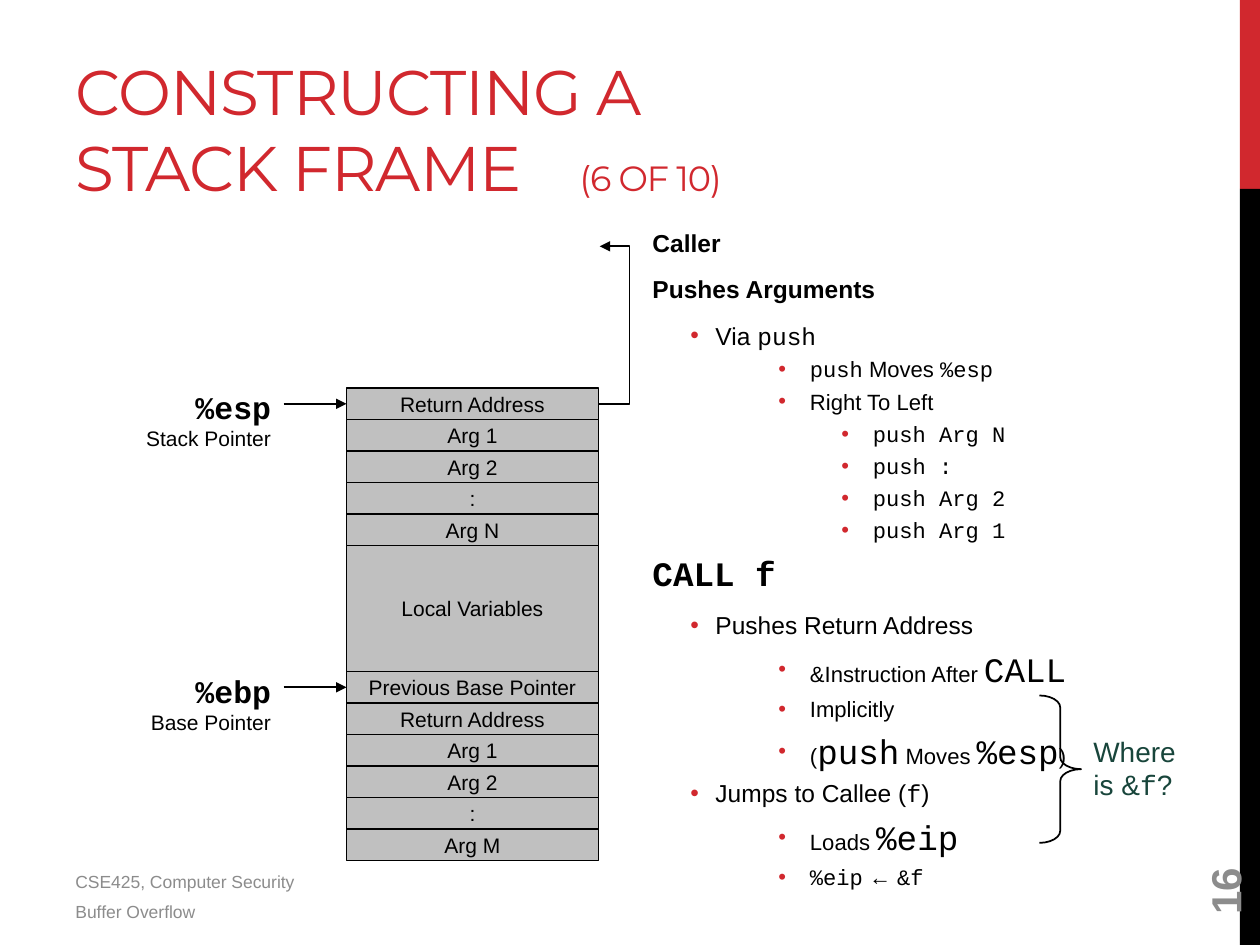
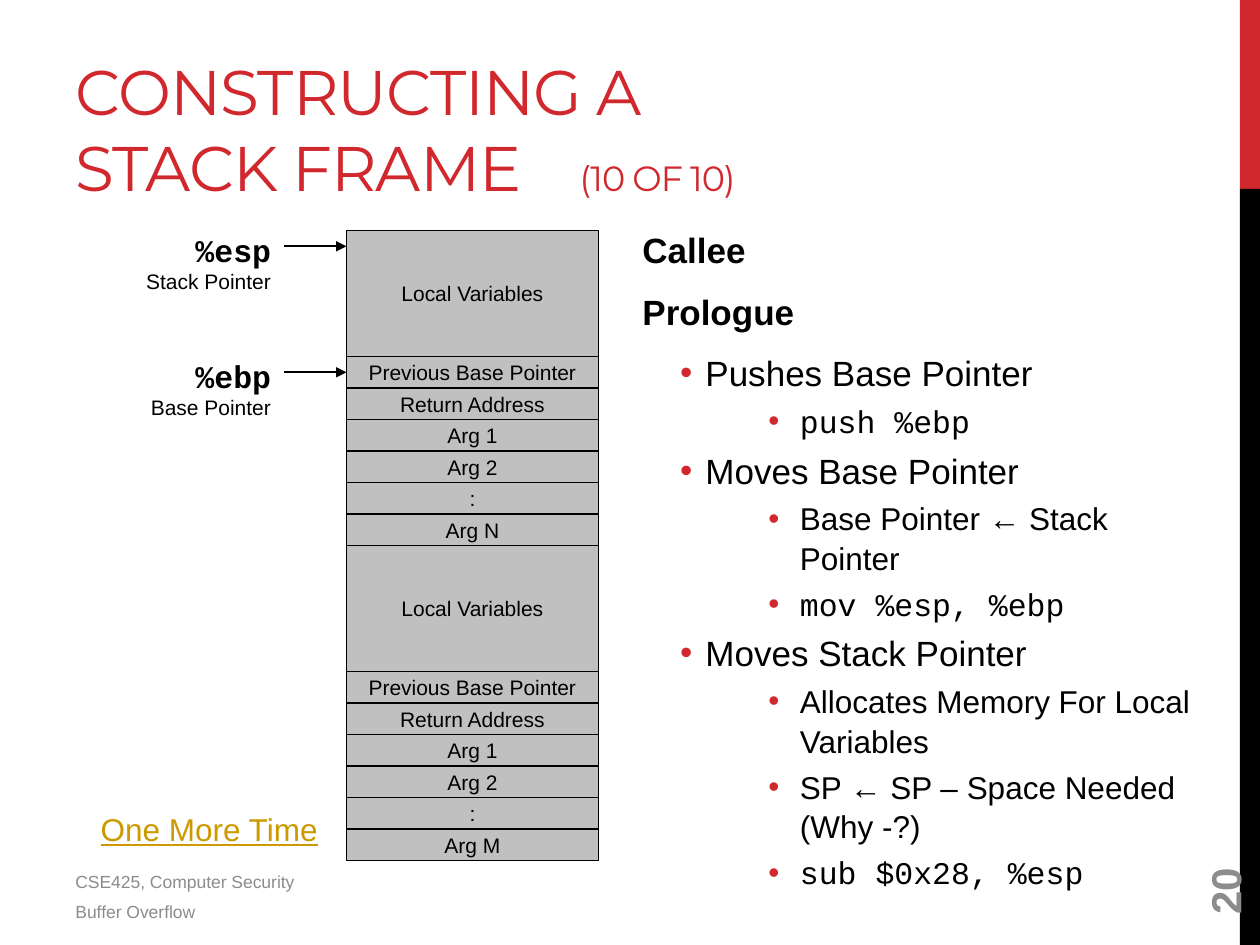
"""Build two slides that show how a stack frame is constructed."""
from dataclasses import dataclass

from lxml.etree import SubElement
from pptx import Presentation
from pptx.dml.color import RGBColor
from pptx.enum.shapes import MSO_CONNECTOR, MSO_SHAPE
from pptx.enum.text import MSO_ANCHOR, MSO_AUTO_SIZE, PP_ALIGN
from pptx.oxml.ns import qn
from pptx.util import Inches, Pt


@dataclass(frozen=True)
class Theme:
    red: str = "D1282E"
    black: str = "000000"
    silver: str = "C0C0C0"
    grey: str = "8C8C8C"
    green: str = "18453B"
    gold: str = "CC9900"
    heading: str = "Montserrat"
    body: str = "Arial"
    code: str = "Courier New"
    title: float = 36
    counter: float = 20
    page: float = 24
    register: float = 18
    question: float = 16
    cell: float = 12
    footer: float = 10


THEME = Theme()
WIDTH, HEIGHT = 10, 7.5
BAND_LEFT, BAND_SPLIT = 9.84, HEIGHT / 5
STACK_LEFT, STACK_WIDTH, STACK_BOTTOM, ROW = 2.75, 2, 6.83, 0.25
LABEL_LEFT, LABEL_WIDTH, ARROW = 0.75, 1.5, 0.5
INDENTS = [(0, 0), (0.5, -0.2), (1.25, -0.25), (1.75, -0.25)]
TALL_CELLS = {"Local Variables": 4}

HEADING = "CONSTRUCTING A STACK FRAME\t"
FOOTERS = [("CSE425, Computer Security", 6.75, 0.33, MSO_ANCHOR.BOTTOM),
           ("Buffer Overflow", 7.1, 0.31, MSO_ANCHOR.TOP)]


def call_cells(last_arg):
    """List what a call pushes, from the top of the stack down."""
    return ["Return Address", "Arg 1", "Arg 2", ":", last_arg]


LOCALS = ["Local Variables", "Previous Base Pointer"]
CALLER_FRAME = LOCALS + call_cells("Arg M")

SLIDES = [
    {
        "counter": "(6 OF 10)",
        "page": "16",
        "cells": call_cells("Arg N") + CALLER_FRAME,
        "pointers": [("%esp", "Stack Pointer", 0), ("%ebp", "Base Pointer", 6)],
        "outline_box": (5.08, 1.75, 4.42, 4.95),
        "level_sizes": [14, 14, 12.6, 12.6],
        "large_code": 19.6,
        "outline": [
            (0, "Caller"),
            (0, "Pushes Arguments"),
            (1, "Via `push`"),
            (2, "`push` Moves `%esp`"),
            (2, "Right To Left"),
            (3, "`push Arg N`"),
            (3, "`push :`"),
            (3, "`push Arg 2`"),
            (3, "`push Arg 1`"),
            (0, "`+CALL f`"),
            (1, "Pushes Return Address"),
            (2, "&Instruction After `+CALL`"),
            (2, "Implicitly"),
            (2, "(`+push` Moves `+%esp`)"),
            (1, "Jumps to Callee (`f`)"),
            (2, "Loads `+%eip`"),
            (2, "`%eip` ← `&f`"),
        ],
        "question": "Where is &`f`?",
        "return_arrow": True,
    },
    {
        "counter": "(10 OF 10)",
        "page": "20",
        "cells": LOCALS + call_cells("Arg N") + CALLER_FRAME,
        "pointers": [("%esp", "Stack Pointer", 0), ("%ebp", "Base Pointer", 1)],
        "outline_box": (5, 1.75, 4.75, 5.34),
        "level_sizes": [20, 20, 18],
        "large_code": 20,
        "outline": [
            (0, "Callee"),
            (0, "Prologue"),
            (1, "Pushes Base Pointer"),
            (2, "`push %ebp`"),
            (1, "Moves Base Pointer"),
            (2, "Base Pointer ← Stack Pointer"),
            (2, "`mov %esp, %ebp`"),
            (1, "Moves Stack Pointer"),
            (2, "Allocates Memory For Local Variables"),
            (2, "SP ← SP – Space Needed\n(Why -?)"),
            (2, "`sub $0x28, %esp`"),
        ],
        "button": "One More Time",
    },
]


def inches(*lengths):
    """Convert lengths to EMU."""
    return [Inches(length) for length in lengths]


def set_font(font, size, color=THEME.black, name=THEME.body, bold=False):
    """Format a font."""
    font.size, font.name, font.bold = Pt(size), name, bold
    font.color.rgb = RGBColor.from_string(color)


def write_marked(paragraph, text, size, large=None, color=THEME.black, bold=False):
    """Write text whose backticked parts are code, large when led by a plus."""
    sizes = []
    for index, part in enumerate(text.split("`")):
        if not part:
            continue
        is_large = part.startswith("+")
        sizes.append(large if is_large else size)
        for number, line in enumerate(part.lstrip("+").split("\n")):
            if number:
                paragraph.add_line_break()
            run = paragraph.add_run()
            run.text = line
            set_font(run.font, sizes[-1], color,
                     THEME.code if index % 2 else THEME.body, bold)
    return max(sizes)


def add_shape(slide, kind, box, fill=None, line=None):
    """Add a flat preset shape."""
    shape = slide.shapes.add_shape(kind, *inches(*box))
    shape.shadow.inherit = False
    if fill:
        shape.fill.solid()
        shape.fill.fore_color.rgb = RGBColor.from_string(fill)
    else:
        shape.fill.background()
    if line:
        shape.line.color.rgb = RGBColor.from_string(line)
        shape.line.width = Pt(1)
    else:
        shape.line.fill.background()
    return shape


def add_frame(slide, box, anchor=MSO_ANCHOR.TOP):
    """Add a wrapping text box and return its text frame."""
    frame = slide.shapes.add_textbox(*inches(*box)).text_frame
    frame.word_wrap, frame.vertical_anchor = True, anchor
    return frame


def fill_paragraph(paragraph, text, align=PP_ALIGN.LEFT, **font):
    """Write and format a paragraph in one font."""
    paragraph.text, paragraph.alignment = text, align
    set_font(paragraph.font, **font)


def add_arrow(slide, start, end, kind=MSO_CONNECTOR.STRAIGHT, bend=None):
    """Add a connector with an arrowhead at its end."""
    arrow = slide.shapes.add_connector(kind, *inches(*start, *end))
    arrow.line.color.rgb = RGBColor.from_string(THEME.black)
    arrow.line.width = Pt(1)
    SubElement(arrow.line._get_or_add_ln(), qn("a:tailEnd"), type="triangle")
    properties = arrow._element.spPr
    SubElement(properties, qn("a:effectLst"))
    if bend:
        guides = properties.find(qn("a:prstGeom")).find(qn("a:avLst"))
        SubElement(guides, qn("a:gd"), name="adj1", fmla=f"val {bend * 100000}")


def add_title(slide, counter):
    """Place the heading and its counter in the title placeholder."""
    title = slide.shapes.title
    title.left, title.top, title.width, title.height = inches(0.5, 0.17, 6.33, 1.5)
    frame = title.text_frame
    frame.auto_size, frame.word_wrap = MSO_AUTO_SIZE.NONE, True
    frame.vertical_anchor = MSO_ANCHOR.BOTTOM
    paragraph = frame.paragraphs[0]
    paragraph.alignment = PP_ALIGN.LEFT
    for text, size in ((HEADING, THEME.title), (counter, THEME.counter)):
        run = paragraph.add_run()
        run.text = text
        set_font(run.font, size, THEME.red, THEME.heading)
        run._r.get_or_add_rPr().set("spc", "-60")


def add_furniture(slide, page):
    """Add the side band, the footers and the page number."""
    for top, bottom, color in ((0, BAND_SPLIT, THEME.red),
                               (BAND_SPLIT, HEIGHT, THEME.black)):
        add_shape(slide, MSO_SHAPE.RECTANGLE,
                  (BAND_LEFT, top, WIDTH - BAND_LEFT, bottom - top), color)
    for text, top, height, anchor in FOOTERS:
        frame = add_frame(slide, (0.5, top, 3.75, height), anchor)
        if anchor == MSO_ANCHOR.BOTTOM:
            frame.margin_bottom = 0
        fill_paragraph(frame.paragraphs[0], text, size=THEME.footer, color=THEME.grey)
    number = slide.shapes.add_textbox(*inches(9, 6.44, 1.44, 0.4))
    number.rotation = 270
    number.text_frame.word_wrap = True
    number.text_frame.vertical_anchor = MSO_ANCHOR.MIDDLE
    fill_paragraph(number.text_frame.paragraphs[0], page,
                   size=THEME.page, color=THEME.grey, bold=True)


def add_outline(slide, content):
    """Write the explanation as a bulleted outline."""
    frame = add_frame(slide, content["outline_box"])
    for index, (level, text) in enumerate(content["outline"]):
        paragraph = frame.add_paragraph() if index else frame.paragraphs[0]
        paragraph.level = level
        paragraph.line_spacing = 1.05
        largest = write_marked(paragraph, text, content["level_sizes"][level],
                               content["large_code"], bold=level == 0)
        paragraph.space_before = Pt(0.2 * largest)
        paragraph.space_after = Pt(0 if level else 6)
        if level:
            margin, hanging = inches(*INDENTS[level])
            properties = paragraph._p.get_or_add_pPr()
            properties.set("marL", str(margin))
            properties.set("indent", str(hanging))
            bullet_color = SubElement(properties, qn("a:buClr"))
            SubElement(bullet_color, qn("a:srgbClr"), val=THEME.red)
            SubElement(properties, qn("a:buFont"), typeface=THEME.body)
            SubElement(properties, qn("a:buChar"), char="•")


def add_stack(slide, cells):
    """Stack the cells upward from the bottom and return their tops in order."""
    tops, top = [], STACK_BOTTOM
    for text in reversed(cells):
        height = ROW * TALL_CELLS.get(text, 1)
        top -= height
        tops.insert(0, top)
        cell = add_shape(slide, MSO_SHAPE.RECTANGLE,
                         (STACK_LEFT, top, STACK_WIDTH, height),
                         THEME.silver, THEME.black)
        cell.text_frame.vertical_anchor = MSO_ANCHOR.MIDDLE
        fill_paragraph(cell.text_frame.paragraphs[0], text, PP_ALIGN.CENTER,
                       size=THEME.cell)
    return tops


def add_pointer(slide, register, meaning, top):
    """Label a register and point it at the cell with the given top."""
    frame = add_frame(slide, (LABEL_LEFT, top, LABEL_WIDTH, 2 * ROW), MSO_ANCHOR.MIDDLE)
    frame.margin_top = frame.margin_bottom = 0
    fill_paragraph(frame.paragraphs[0], register, PP_ALIGN.RIGHT,
                   size=THEME.register, name=THEME.code, bold=True)
    fill_paragraph(frame.add_paragraph(), meaning, PP_ALIGN.RIGHT, size=THEME.cell)
    middle = top + ROW / 2
    add_arrow(slide, (STACK_LEFT - ARROW, middle), (STACK_LEFT, middle))


def add_question(slide, question):
    """Brace the last outline rows and ask about them."""
    brace = add_shape(slide, MSO_SHAPE.RIGHT_BRACE, (8.25, 5.52, 0.33, 1.17),
                      line=THEME.black)
    brace.adjustments[0], brace.adjustments[1] = 0.29, 0.5
    frame = add_frame(slide, (8.58, 5.78, 1, 0.64))
    write_marked(frame.paragraphs[0], question, THEME.question, color=THEME.green)


def add_button(slide, caption):
    """Add the underlined action button."""
    button = add_shape(slide, MSO_SHAPE.ACTION_BUTTON_CUSTOM, (0.7, 6.33, 1.92, 0.5))
    button.text_frame.word_wrap = False
    button.text_frame.vertical_anchor = MSO_ANCHOR.MIDDLE
    paragraph = button.text_frame.paragraphs[0]
    fill_paragraph(paragraph, caption, size=THEME.register, color=THEME.gold)
    paragraph.font.underline = True


def main():
    """Build and save the slides."""
    deck = Presentation()
    deck.slide_width, deck.slide_height = inches(WIDTH, HEIGHT)
    for content in SLIDES:
        slide = deck.slides.add_slide(deck.slide_layouts[5])
        add_furniture(slide, content["page"])
        add_title(slide, content["counter"])
        add_outline(slide, content)
        if "question" in content:
            add_question(slide, content["question"])
        if "button" in content:
            add_button(slide, content["button"])
        tops = add_stack(slide, content["cells"])
        for register, meaning, index in content["pointers"]:
            add_pointer(slide, register, meaning, tops[index])
        if content.get("return_arrow"):
            right, middle = STACK_LEFT + STACK_WIDTH, tops[0] + ROW / 2
            add_arrow(slide, (right, middle), (right + 0.01, middle - 5 * ROW),
                      MSO_CONNECTOR.ELBOW, bend=25)
    deck.save("out.pptx")


if __name__ == "__main__":
    main()
